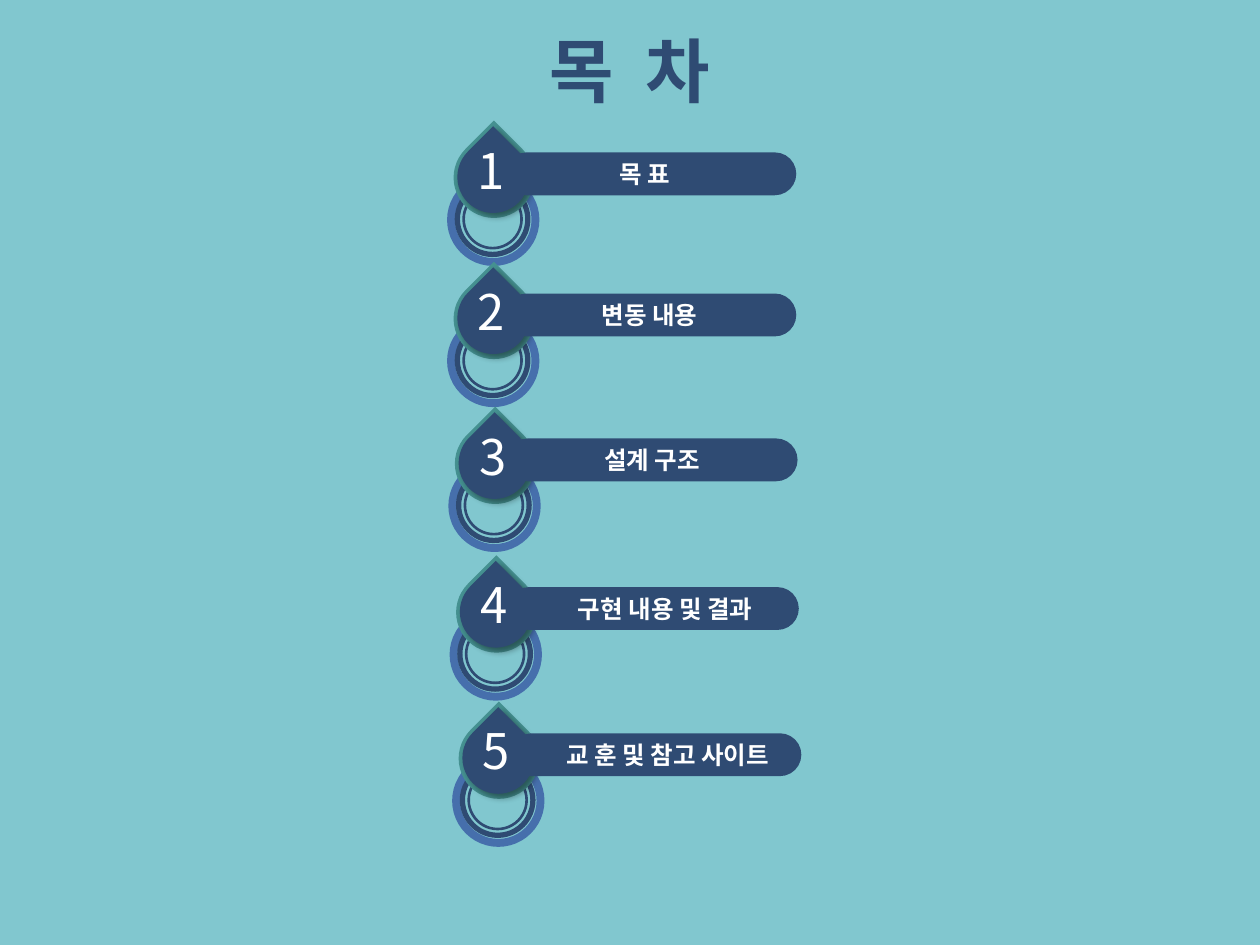
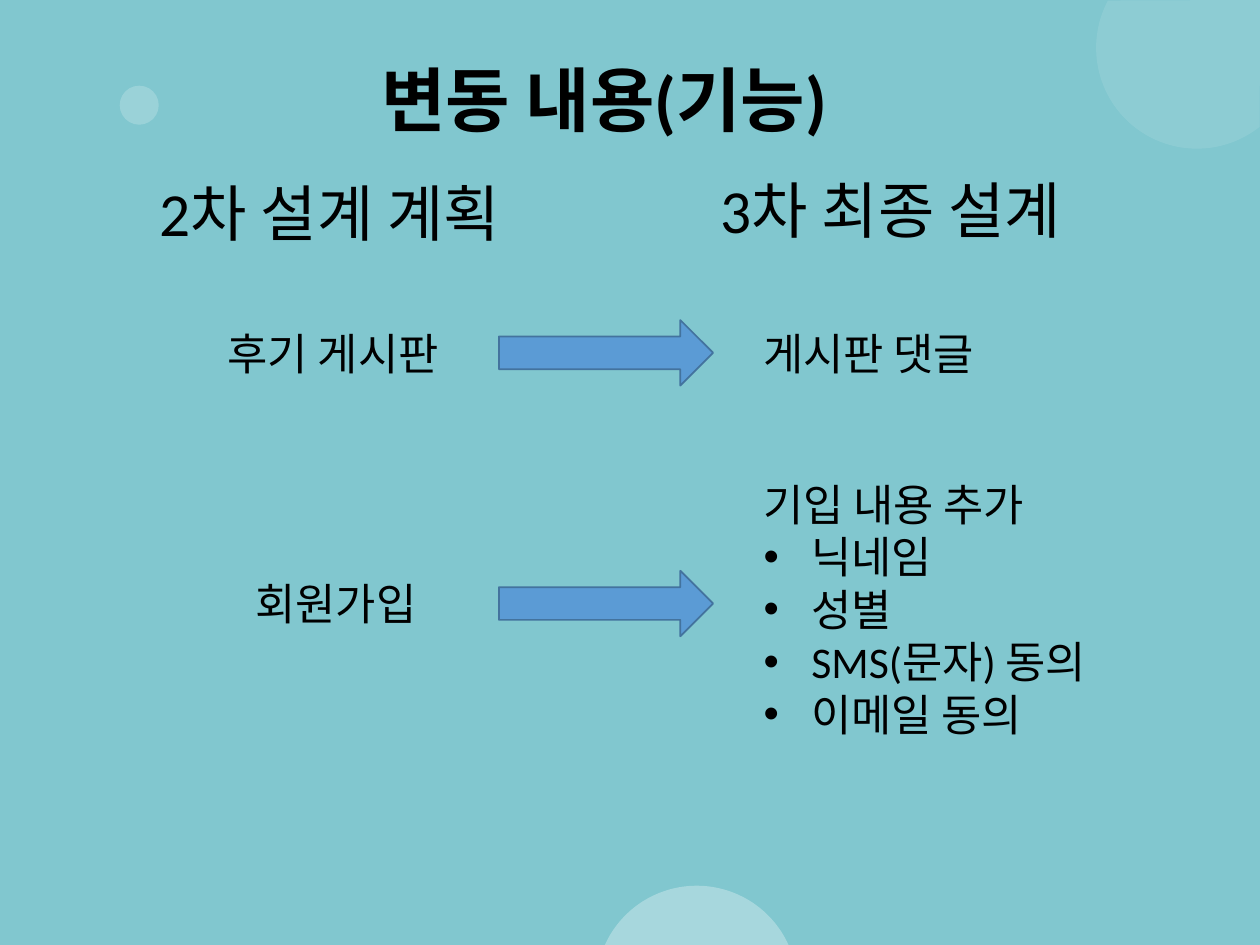
"""Build a two-slide deck: a table of contents and a comparison of feature changes."""
from math import cos, radians, sin

from lxml import etree
from pptx import Presentation
from pptx import util as u
from pptx.dml.color import RGBColor
from pptx.enum import shapes, text
from pptx.oxml import ns

BACKGROUND = RGBColor(0x81, 0xC7, 0xCF)
NAVY = RGBColor(0x2F, 0x4B, 0x73)
RING_BLUE = RGBColor(0x46, 0x6F, 0xAC)
TEAL = RGBColor(0x45, 0x91, 0x91)
ARROW_FILL = RGBColor(0x5B, 0x9B, 0xD5)
ARROW_LINE = RGBColor(0x43, 0x73, 0x9E)
WHITE = RGBColor(0xFF, 0xFF, 0xFF)
BLACK = RGBColor(0, 0, 0)

KOREAN = "Noto Sans CJK KR"
TITLE = {"name": "Calibri", "size": u.Pt(40), "bold": True}
NUMBER = {"name": KOREAN, "size": u.Pt(28), "color": WHITE}
LABEL = {"name": KOREAN, "size": u.Pt(14), "bold": True, "color": WHITE}
HEADING = {"name": "Calibri", "size": u.Pt(35), "color": BLACK}
BODY = {"name": "Calibri", "size": u.Pt(25), "color": BLACK}
CENTER, LEFT = text.PP_ALIGN.CENTER, text.PP_ALIGN.LEFT
TOP, MIDDLE = text.MSO_ANCHOR.TOP, text.MSO_ANCHOR.MIDDLE
SHAPE = shapes.MSO_SHAPE


def paint(shape, fill=None, line=None, width=0, alpha=100):
    """Set fill, outline and opacity, and remove the shadow."""
    shape.shadow.inherit = False
    if fill is None:
        shape.fill.background()
    else:
        shape.fill.solid()
        shape.fill.fore_color.rgb = fill
    if line is None:
        shape.line.fill.background()
    else:
        shape.line.color.rgb = line
        shape.line.width = u.Pt(width)
    if alpha < 100:
        color = shape._element.spPr.find(".//" + ns.qn("a:srgbClr"))
        etree.SubElement(color, ns.qn("a:alpha"), val=str(alpha * 1000))


def write(shape, box, lines, style, align=LEFT, anchor=TOP):
    """Place a text shape and fill it with formatted lines."""
    shape.left, shape.top, shape.width, shape.height = map(u.Inches, box)
    frame = shape.text_frame
    frame.text = "\n".join(lines)
    frame.word_wrap = True
    frame.auto_size = text.MSO_AUTO_SIZE.NONE
    frame.vertical_anchor = anchor
    for paragraph in frame.paragraphs:
        paragraph.alignment = align
        paragraph.space_before = u.Pt(0)
        font = paragraph.runs[0].font
        for name, value in style.items():
            if name == "color":
                font.color.rgb = value
            else:
                setattr(font, name, value)


presentation = Presentation()
presentation.slide_width, presentation.slide_height = u.Inches(10), u.Inches(7.5)
TITLE_ONLY, TITLE_AND_BODY = 5, 1
contents, changes = [
    presentation.slides.add_slide(presentation.slide_layouts[index])
    for index in (TITLE_ONLY, TITLE_AND_BODY)
]
for slide, box, words, color in (
    (contents, (4.14, 0.17, 1.72, 0.77), "목  차", NAVY),
    (changes, (2, 0.4, 5.59, 0.77), "변동 내용(기능)", BLACK),
):
    slide.background.fill.solid()
    slide.background.fill.fore_color.rgb = BACKGROUND
    write(slide.shapes.title, box, [words], TITLE | {"color": color}, CENTER)

chapters = [
    (3.58, 1.41, "목 표", 4.3, 1.63),
    (3.58, 2.53, "변동 내용", 4.21, 1.89),
    (3.59, 3.68, "설계 구조", 4.02, 2.31),
    (3.6, 4.86, "구현 내용 및 결과", 4.23, 2.1),
    (3.62, 6.02, "교 훈 및 참고 사이트", 4.25, 2.1),
]
rings = [(0, 0.67, RING_BLUE, 4.5), (0.05, 0.56, NAVY, 3), (0.1, 0.46, NAVY, 1.5)]
drops = [(0.02, -0.32, 0.64, TEAL), (0.05, -0.29, 0.57, NAVY)]
for number, (left, top, label, label_left, label_width) in enumerate(chapters, 1):
    marker = contents.shapes.add_group_shape()
    for inset, size, color, width in rings:
        ring = marker.shapes.add_shape(
            SHAPE.OVAL, *map(u.Inches, (left + inset, top + inset, size, size)))
        paint(ring, line=color, width=width)
    for shift, rise, size, color in drops:
        drop = marker.shapes.add_shape(
            SHAPE.TEAR, *map(u.Inches, (left + shift, top + rise, size, size)))
        drop.rotation = 315
        paint(drop, color)
    effects = drop._element.spPr.find(ns.qn("a:effectLst"))
    shadow = etree.SubElement(
        effects, ns.qn("a:outerShdw"), blurRad=str(u.Pt(4)), dist=str(u.Pt(3)),
        dir=str(45 * 60000), algn="tl", rotWithShape="0")
    shade = etree.SubElement(shadow, ns.qn("a:srgbClr"), val=str(BLACK))
    etree.SubElement(shade, ns.qn("a:alpha"), val="40000")
    digit = marker.shapes.add_textbox(0, 0, 0, 0)
    write(digit, (left - 0.03, top - 0.35, 0.7, 0.57), [str(number)], NUMBER,
          CENTER, MIDDLE)
    digit.text_frame.paragraphs[0].runs[0]._r.get_or_add_rPr().set("spc", "-300")

    bar = contents.shapes.add_shape(
        SHAPE.ROUNDED_RECTANGLE, *map(u.Inches, (left + 0.43, top - 0.2, 2.31, 0.34)))
    bar.adjustments[0] = 0.5
    paint(bar, NAVY)
    write(contents.shapes.add_textbox(0, 0, 0, 0),
          (label_left, top - 0.2, label_width, 0.34), [label], LABEL, CENTER, MIDDLE)

RADIUS, STEPS = 0.8, 60
bubbles = [
    (9.5, 0.38, 51.5, 208, [(10, 0)], 10),
    (5.53, 7.83, 204.3, 335.7, [], 30),
]
for center_x, center_y, start, end, corners, alpha in bubbles:
    angles = [radians(start + (end - start) * step / STEPS) for step in range(STEPS + 1)]
    arc = [(center_x + RADIUS * cos(angle), center_y + RADIUS * sin(angle))
           for angle in angles]
    points = [(u.Inches(x), u.Inches(y)) for x, y in arc + corners]
    builder = changes.shapes.build_freeform(*points[0])
    builder.add_line_segments(points[1:])
    paint(builder.convert_to_shape(), WHITE, alpha=alpha)
dot = changes.shapes.add_shape(SHAPE.OVAL, *map(u.Inches, (0.95, 0.68, 0.31, 0.31)))
paint(dot, WHITE, alpha=20)

for box, words, style in (
    ((1.17, 1.34, 3.13, 0.69), "2차 설계 계획", HEADING),
    ((5.62, 1.32, 3.13, 0.69), "3차 최종 설계", HEADING),
    ((1.71, 2.54, 2.03, 0.52), "후기 게시판", BODY),
    ((5.96, 2.54, 2.03, 0.52), "게시판 댓글", BODY),
    ((1.93, 4.53, 1.6, 0.52), "회원가입", BODY),
):
    write(changes.shapes.add_textbox(0, 0, 0, 0), box, [words], style)
for top in (2.54, 4.53):
    arrow = changes.shapes.add_shape(
        SHAPE.RIGHT_ARROW, *map(u.Inches, (3.96, top, 1.7, 0.52)))
    paint(arrow, ARROW_FILL, ARROW_LINE, 1)

additions = changes.placeholders[1]
write(additions, (5.96, 3.74, 2.9, 2.63),
      ["기입 내용 추가", "닉네임", "성별", "SMS(문자) 동의", "이메일 동의"], BODY)
for index, paragraph in enumerate(additions.text_frame.paragraphs):
    indent = u.Inches(0.38) if index else 0
    properties = paragraph._p.get_or_add_pPr()
    properties.set("marL", str(indent))
    properties.set("indent", str(-indent))
    if index:
        etree.SubElement(properties, ns.qn("a:buFont"), typeface="Arial")
        etree.SubElement(properties, ns.qn("a:buChar"), char="•")
    else:
        etree.SubElement(properties, ns.qn("a:buNone"))

presentation.save("out.pptx")
